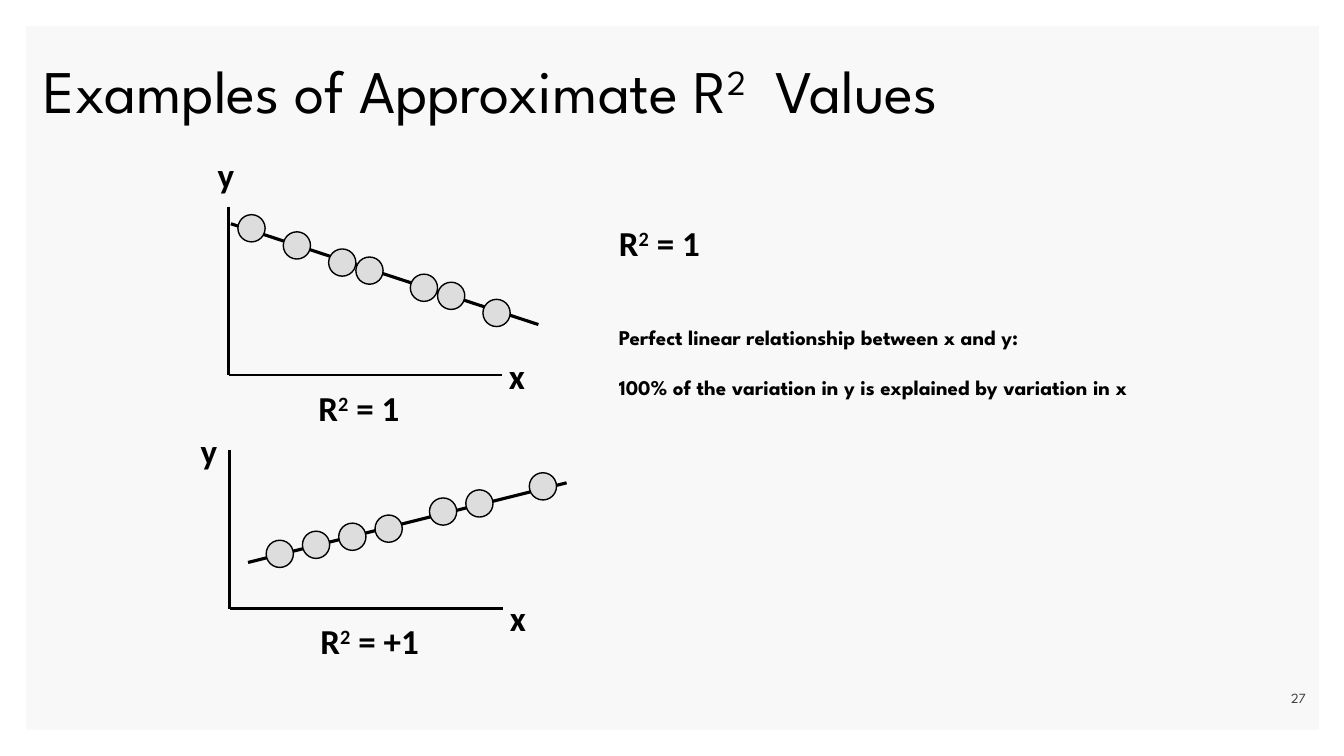
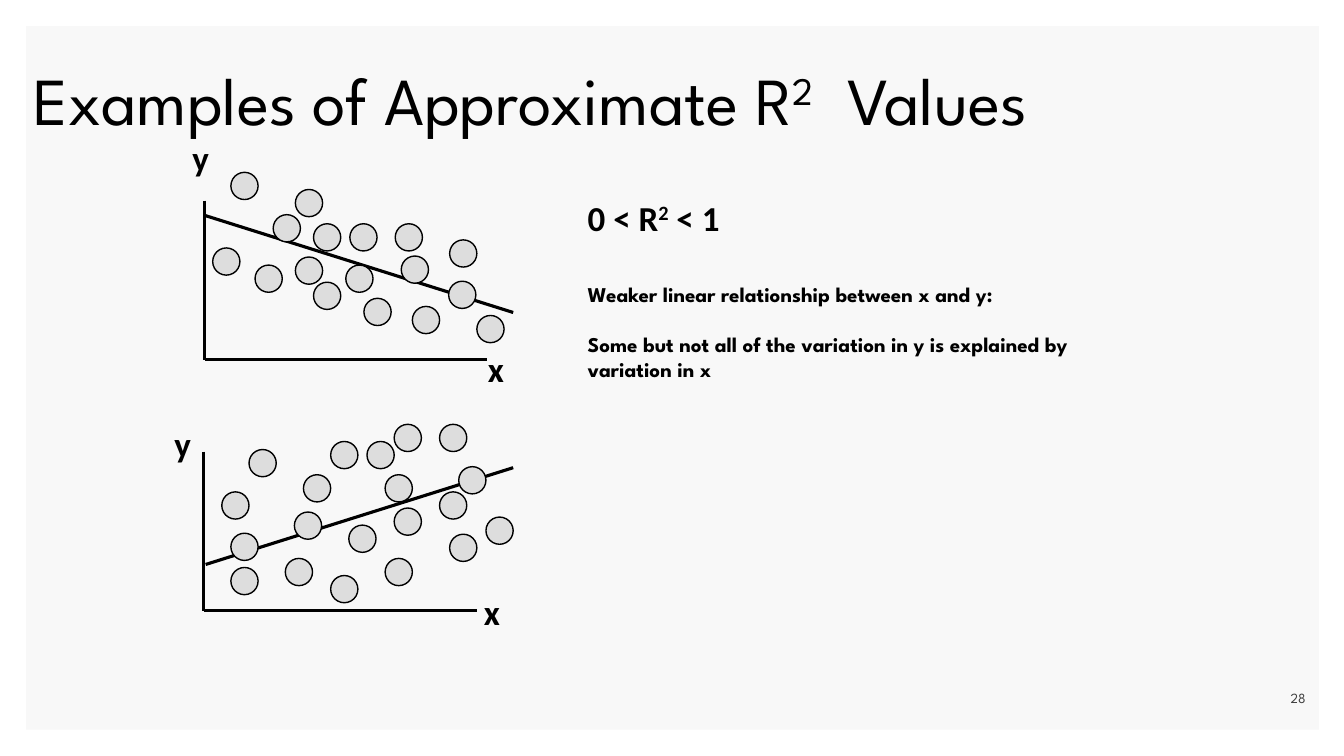
from pptx import Presentation
from pptx.dml.color import RGBColor
from pptx.enum.shapes import MSO_CONNECTOR as Connector, MSO_SHAPE as Shape
from pptx.enum.text import MSO_ANCHOR as Anchor, MSO_AUTO_SIZE as AutoSize, PP_ALIGN as Align
from pptx.oxml.ns import qn
from pptx.util import Inches, Pt

COLORS = {"panel": "F8F8F8", "ink": "000000", "dot": "DDDDDD", "number": "404040"}
HEADING_FONT = "League Spartan"
LABEL_FONT = "Calibri"
DOT_SIZE = 0.27
TITLE = "Examples of Approximate R²  Values"


class Deck:
    def __init__(self):
        self.presentation = Presentation()
        self.presentation.slide_width = Inches(13.33)
        self.presentation.slide_height = Inches(7.5)
        self.layout = self.presentation.slide_layouts[5]
        self.slide = None

    def color(self, name):
        return RGBColor.from_string(COLORS[name])

    def shape(self, kind, box, fill, line_width=None):
        shape = self.slide.shapes.add_shape(kind, *map(Inches, box))
        shape.shadow.inherit = False
        shape.fill.solid()
        shape.fill.fore_color.rgb = self.color(fill)
        if line_width:
            shape.line.width = Pt(line_width)
            shape.line.color.rgb = self.color("ink")
        else:
            shape.line.fill.background()
        return shape

    def line(self, start, end, width):
        line = self.slide.shapes.add_connector(
            Connector.STRAIGHT, *map(Inches, (*start, *end)))
        line.line.width = Pt(width)
        line.line.color.rgb = self.color("ink")
        properties = line.element.spPr
        properties.append(properties.makeelement(qn("a:effectLst"), {}))

    def add_text(self, paragraph, text, font, size, bold=False, color="ink"):
        for part in filter(None, text.partition("²")):
            run = paragraph.add_run()
            run.text = "2" if part == "²" else part
            run.font.name = font
            run.font.size = Pt(size)
            run.font.bold = bold
            run.font.color.rgb = self.color(color)
            if part == "²":
                run.font._element.set("baseline", "30000")

    def text_box(self, box):
        shape = self.slide.shapes.add_textbox(*map(Inches, box))
        return shape.text_frame

    def add_slide(self, number, title_box, title_size):
        self.slide = self.presentation.slides.add_slide(self.layout)
        if len(self.presentation.slides) == 1:
            panel = self.shape(Shape.RECTANGLE, (0.26, 0.26, 12.82, 6.98), "panel")
            self.layout.shapes.element.insert(2, panel.element)
        title = self.slide.shapes.title
        title.left, title.top, title.width, title.height = map(Inches, title_box)
        frame = title.text_frame
        frame.word_wrap = True
        frame.auto_size = AutoSize.NONE
        frame.vertical_anchor = Anchor.MIDDLE
        paragraph = frame.paragraphs[0]
        paragraph.alignment = Align.LEFT
        paragraph.line_spacing = 0.9
        self.add_text(paragraph, TITLE, HEADING_FONT, title_size)
        frame = self.text_box((11.45, 6.76, 1.6, 0.3))
        frame.vertical_anchor = Anchor.BOTTOM
        frame.word_wrap = True
        frame.paragraphs[0].alignment = Align.RIGHT
        self.add_text(frame.paragraphs[0], str(number), HEADING_FONT, 10, color="number")

    def label(self, text, left, top, width):
        frame = self.text_box((left, top, width, 0.53))
        frame.word_wrap = False
        frame.auto_size = AutoSize.SHAPE_TO_FIT_TEXT
        self.add_text(frame.paragraphs[0], text, LABEL_FONT, 25, bold=True)

    def explanation(self, left, top, width, lines):
        frame = self.text_box((left, top, width, 1.12))
        frame.word_wrap = True
        for index, text in enumerate(lines):
            paragraph = frame.add_paragraph() if index else frame.paragraphs[0]
            paragraph.space_before = Pt(18 if index else 0)
            self.add_text(paragraph, text, HEADING_FONT, 15, bold=True)

    def scatter(self, origin, axis_top, axis_right, trend, y_label, x_label, dots):
        self.line((origin[0], axis_top), origin, 2)
        self.line(origin, (axis_right, origin[1]), 2)
        self.line(*trend, 2.25)
        for left, top in dots:
            self.shape(Shape.OVAL, (left, top, DOT_SIZE, DOT_SIZE), "dot", 1)
        self.label("y", *y_label, 0.38)
        self.label("x", *x_label, 0.37)


def perfect_fit(deck):
    deck.add_slide(27, (0.33, 0.18, 11, 1.5), 43.2)
    deck.scatter(
        origin=(2.27, 3.72), axis_top=2.05, axis_right=4.98,
        trend=((2.29, 2.22), (5.34, 3.22)),
        y_label=(2.06, 1.47), x_label=(4.95, 3.47),
        dots=[(2.36, 2.13), (2.81, 2.3), (3.26, 2.47), (3.53, 2.55),
              (4.07, 2.72), (4.34, 2.8), (4.79, 2.97)])
    deck.label("R² = 1", 3.06, 3.79, 1.04)
    deck.scatter(
        origin=(2.28, 6.04), axis_top=4.46, axis_right=4.99,
        trend=((2.46, 5.58), (5.62, 4.79)),
        y_label=(1.89, 4.21), x_label=(4.96, 5.87),
        dots=[(2.64, 5.36), (3, 5.27), (3.36, 5.19), (3.72, 5.11),
              (4.26, 4.94), (4.62, 4.86), (5.25, 4.69)])
    deck.label("R² = +1", 3.08, 6.1, 1.21)
    deck.label("R² = 1", 6.04, 2.15, 1.04)
    deck.explanation(6.04, 3.17, 5.29, [
        "Perfect linear relationship between x and y:",
        "100% of the variation in y is explained by variation in x"])


def weaker_fit(deck):
    deck.add_slide(28, (0.23, 0.28, 12.82, 1.5), 48)
    deck.scatter(
        origin=(2.03, 3.57), axis_top=1.99, axis_right=4.83,
        trend=((2.04, 2.14), (5.09, 3.1)),
        y_label=(1.81, 1.31), x_label=(4.74, 3.4),
        dots=[(2.11, 2.46), (2.29, 1.71), (2.53, 2.63), (2.71, 2.13),
              (2.93, 1.88), (2.93, 2.55), (3.11, 2.22), (3.11, 2.8),
              (3.43, 2.63), (3.47, 2.22), (3.61, 2.96), (3.92, 2.22),
              (3.98, 2.54), (4.09, 3.04), (4.45, 2.79), (4.46, 2.38),
              (4.73, 3.13)])
    deck.scatter(
        origin=(2.02, 6.06), axis_top=4.48, axis_right=4.73,
        trend=((2.04, 5.6), (5.09, 4.64)),
        y_label=(1.63, 4.14), x_label=(4.7, 5.81),
        dots=[(2.2, 4.88), (2.29, 5.29), (2.29, 5.63), (2.47, 4.46),
              (2.83, 5.54), (2.92, 5.08), (3.01, 4.71), (3.28, 4.38),
              (3.28, 5.71), (3.46, 5.21), (3.64, 4.38), (3.82, 4.71),
              (3.82, 5.54), (3.91, 4.21), (3.91, 5.04), (4.36, 4.21),
              (4.36, 4.88), (4.46, 5.3), (4.55, 4.63), (4.82, 5.13)])
    deck.label("0 < R² < 1", 5.73, 1.9, 1.55)
    deck.explanation(5.73, 2.74, 4.97, [
        "Weaker linear relationship between x and y:",
        "Some but not all of the variation in y is explained by variation in x"])


def main():
    deck = Deck()
    perfect_fit(deck)
    weaker_fit(deck)
    deck.presentation.save("out.pptx")


if __name__ == "__main__":
    main()
